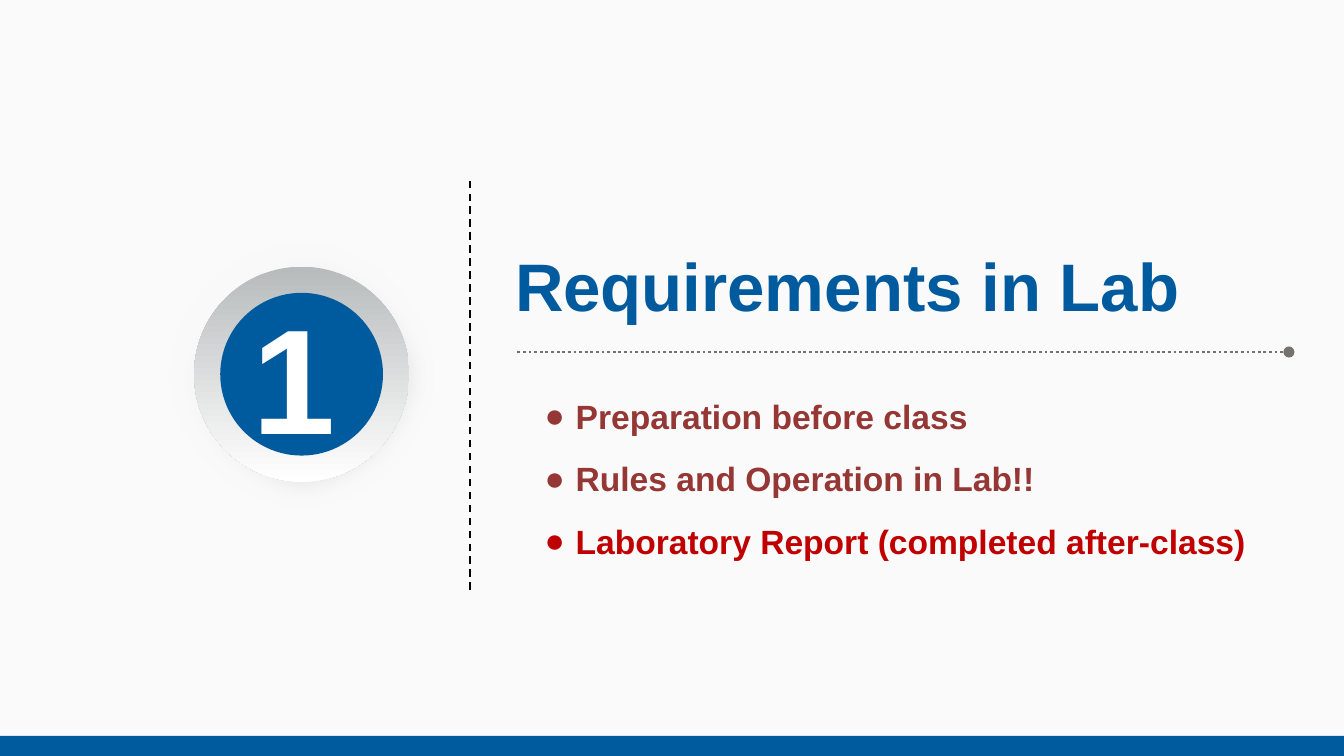
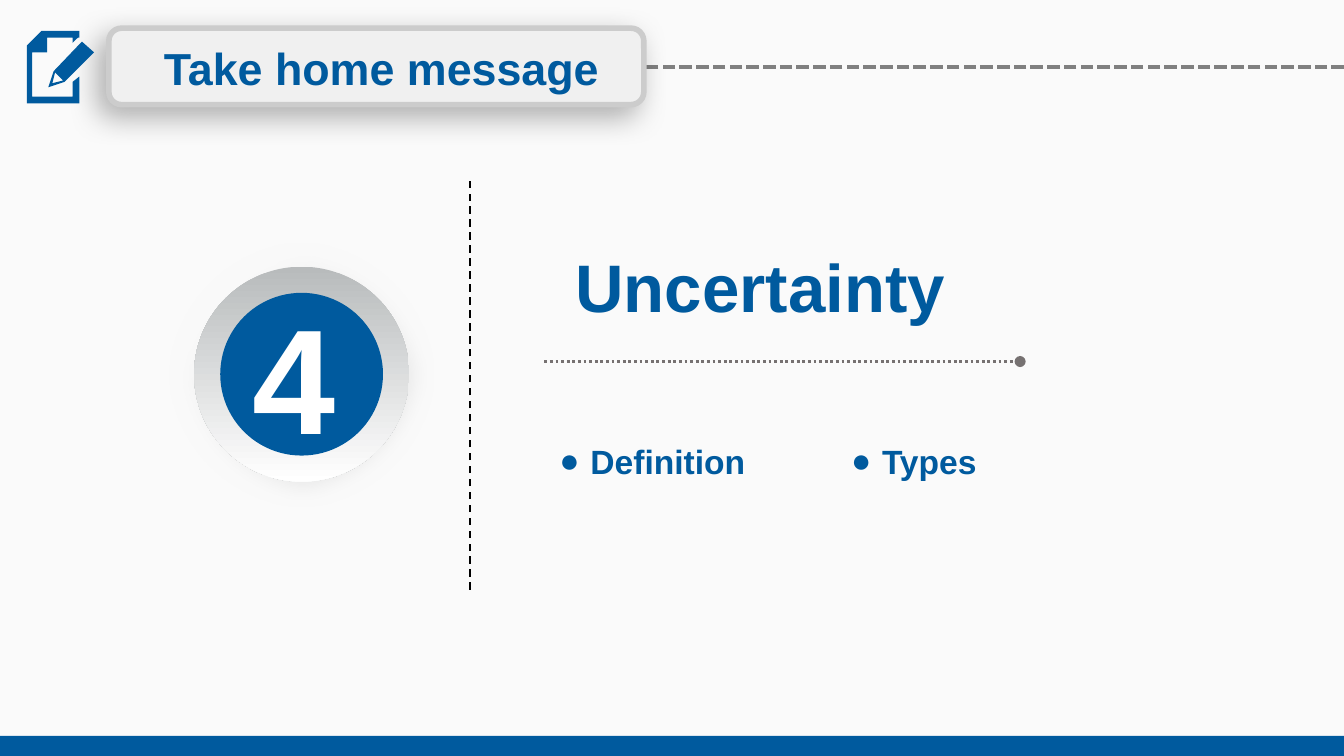
from lxml.etree import SubElement
from pptx import Presentation
from pptx.dml.color import RGBColor
from pptx.enum.dml import MSO_LINE
from pptx.enum.shapes import MSO_CONNECTOR, MSO_SHAPE
from pptx.enum.text import MSO_ANCHOR, MSO_AUTO_SIZE, PP_ALIGN
from pptx.oxml.ns import qn
from pptx.util import Pt

BLUE = RGBColor(0x00, 0x5A, 0x9E)
WHITE = RGBColor(0xFF, 0xFF, 0xFF)
BLACK = RGBColor(0x00, 0x00, 0x00)
BROWN = RGBColor(0x95, 0x37, 0x35)
RED = RGBColor(0xC0, 0x00, 0x00)
RULE_GREY = RGBColor(0x76, 0x71, 0x71)
DASH_GREY = RGBColor(0x80, 0x80, 0x80)
BORDER_GREY = RGBColor(0xCC, 0xCC, 0xCC)
PAPER_TOP = RGBColor(0xFA, 0xFA, 0xFA)
PAPER_BOTTOM = RGBColor(0xFC, 0xFC, 0xFC)
HALO_GREY = RGBColor(0xD9, 0xD9, 0xD9)
RING_GREY = RGBColor(0xB8, 0xBB, 0xBC)
BANNER_START = RGBColor(0xF0, 0xF0, 0xF0)
BANNER_END = RGBColor(0xF1, 0xF1, 0xF1)

FONT = "Arial"
SLIDE_WIDTH, SLIDE_HEIGHT = 720, 405
BAND_HEIGHT = 10.7
BADGE_X, BADGE_Y = 161.6, 200.5
BULLET_INDENT = 16.6
TIGHT = (5.2, 2.7)
WIDE = (7.2, 3.6)

# Outlines of the note icon, in hundredths of an inch
ICON_UNIT = Pt(0.72)
SHEET = [(54, 72), (24, 72), (24, 39), (35, 39), (35, 28), (54, 28), (54, 32),
         (58, 28), (59, 28), (59, 23), (31, 23), (20, 34), (20, 77), (59, 77),
         (59, 57), (54, 61)]
PENCIL = [(40, 53), (36, 65), (48, 61), (70, 39), (61, 31)]
PENCIL_TIP = [(47, 60), (39, 62), (41, 54)]


def set_gradient(fill, start, end, angle=270):
    """Blend two colours; the angle runs counter-clockwise."""
    fill.gradient()
    fill.gradient_angle = angle
    for stop, color in zip(fill.gradient_stops, (start, end)):
        stop.color.rgb = color


def add_effect(shape, tag, **attributes):
    effects = shape.element.spPr.find(qn("a:effectLst"))
    return SubElement(effects, qn(tag), {k: str(v) for k, v in attributes.items()})


def add_plain_shape(slide, kind, left, top, width, height, color=None):
    shape = slide.shapes.add_shape(kind, Pt(left), Pt(top), Pt(width), Pt(height))
    shape.shadow.inherit = False
    shape.line.fill.background()
    if color is not None:
        shape.fill.solid()
        shape.fill.fore_color.rgb = color
    return shape


def add_rule(slide, start, end, color, width, dash, dot_end=False):
    rule = slide.shapes.add_connector(
        MSO_CONNECTOR.STRAIGHT, Pt(start[0]), Pt(start[1]), Pt(end[0]), Pt(end[1]))
    rule.line.color.rgb = color
    rule.line.width = Pt(width)
    rule.line.dash_style = dash
    if dot_end:
        SubElement(rule.line._get_or_add_ln(), qn("a:tailEnd"), type="oval")
    SubElement(rule.element.spPr, qn("a:effectLst"))


def set_frame(shape, box, insets, wrap=False):
    shape.left, shape.top, shape.width, shape.height = (Pt(v) for v in box)
    frame = shape.text_frame
    frame.word_wrap = wrap
    frame.auto_size = MSO_AUTO_SIZE.NONE
    frame.vertical_anchor = MSO_ANCHOR.TOP
    frame.margin_left = frame.margin_right = Pt(insets[0])
    frame.margin_top = frame.margin_bottom = Pt(insets[1])
    return frame


def style_paragraph(paragraph, size, color):
    paragraph.alignment = PP_ALIGN.LEFT
    for run in paragraph.runs:
        run.font.name = FONT
        run.font.size = Pt(size)
        run.font.bold = True
        run.font.color.rgb = color


def set_heading(shape, text, box, size, color=BLUE, insets=TIGHT, wrap=False):
    frame = set_frame(shape, box, insets, wrap)
    frame.text = text
    style_paragraph(frame.paragraphs[0], size, color)


def add_label(slide):
    return slide.shapes.add_textbox(0, 0, 0, 0)


def set_bullets(placeholder, items, box, gap=0):
    """Fill a body placeholder with (text, colour) items."""
    frame = set_frame(placeholder, box, TIGHT)
    frame.text = "\n".join(text for text, _ in items)
    for index, (paragraph, (_, color)) in enumerate(zip(frame.paragraphs, items)):
        properties = paragraph._p.get_or_add_pPr()
        properties.set("marL", str(Pt(BULLET_INDENT)))
        properties.set("indent", str(-Pt(BULLET_INDENT)))
        SubElement(properties, qn("a:buChar"), char="●")
        paragraph.space_before = Pt(gap if index else 0)
        style_paragraph(paragraph, 18, color)


def add_disc(slide, radius, color=None):
    return add_plain_shape(slide, MSO_SHAPE.OVAL, BADGE_X - radius,
                           BADGE_Y - radius, 2 * radius, 2 * radius, color)


def add_number_badge(slide, number):
    halo = add_disc(slide, 72.4)
    set_gradient(halo.fill, HALO_GREY, WHITE)
    gradient = halo.element.spPr.find(qn("a:gradFill"))
    gradient.remove(gradient.find(qn("a:lin")))
    focus = SubElement(gradient, qn("a:path"), {"path": "circle"})
    SubElement(focus, qn("a:fillToRect"), l="100000", t="100000")
    add_effect(halo, "a:softEdge", rad=Pt(12.5))

    ring = add_disc(slide, 57.6)
    set_gradient(ring.fill, RING_GREY, WHITE)
    add_disc(slide, 43.6, BLUE)
    set_heading(add_label(slide), number, (128.2, 149, 50.4, 104.4), 80,
                WHITE, WIDE, wrap=True)


def add_section(slide, number, rule_start, rule_end):
    """Draw the parts that every section slide shares."""
    add_rule(slide, rule_start, rule_end, RULE_GREY, 1.5, MSO_LINE.ROUND_DOT, True)
    add_rule(slide, (252, 316), (252, 95), BLACK, 1, MSO_LINE.DASH)
    add_plain_shape(slide, MSO_SHAPE.RECTANGLE, 0, SLIDE_HEIGHT - BAND_HEIGHT,
                    SLIDE_WIDTH, BAND_HEIGHT, BLUE)
    add_number_badge(slide, number)


def add_banner(slide, text):
    add_rule(slide, (SLIDE_WIDTH, 36), (229.7, 36), DASH_GREY, 2.25,
             MSO_LINE.SQUARE_DOT)
    banner = add_plain_shape(slide, MSO_SHAPE.ROUNDED_RECTANGLE, 58.3, 15.1, 286.6, 41)
    set_gradient(banner.fill, BANNER_START, BANNER_END, 315)
    banner.line.color.rgb = BORDER_GREY
    banner.line.width = Pt(3)
    shadow = add_effect(banner, "a:outerShdw", blurRad=Pt(16), dist=Pt(7),
                        dir=135 * 60000, algn="tr", rotWithShape=0)
    black = SubElement(shadow, qn("a:srgbClr"), val=str(BLACK))
    SubElement(black, qn("a:alpha"), val="30000")

    title = slide.shapes.title
    set_heading(title, text, (80.6, 18, 252, 36), 24, insets=WIDE)
    title.element.getparent().append(title.element)  # bring above the banner


def add_outline(slide, *contours):
    first, *holes = contours
    builder = slide.shapes.build_freeform(*first[0], scale=ICON_UNIT)
    builder.add_line_segments(first[1:], close=True)
    for hole in holes:
        builder.move_to(*hole[0])
        builder.add_line_segments(hole[1:], close=True)
    outline = builder.convert_to_shape()
    outline.shadow.inherit = False
    outline.fill.solid()
    outline.fill.fore_color.rgb = BLUE
    outline.line.fill.background()


def build_requirements(slide):
    add_section(slide, "1", (277.2, 188.6), (690.5, 188.6))
    set_heading(slide.shapes.title, "Requirements in Lab", (270.7, 128.2, 370, 49), 36)
    set_bullets(slide.placeholders[1], [
        ("Preparation before class", BROWN),
        ("Rules and Operation in Lab!!", BROWN),
        ("Laboratory Report (completed after-class)", RED),
    ], (286.6, 209.5, 390, 92), gap=11.7)


def build_take_home(slide):
    add_section(slide, "4", (291.6, 193.7), (546.5, 193.7))
    set_heading(add_label(slide), "Uncertainty", (303.1, 128.9, 211, 49), 36)
    set_bullets(slide.placeholders[1], [("Definition", BLUE)], (294.5, 233.3, 111.6, 27.4))
    set_bullets(slide.placeholders[2], [("Types", BLUE)], (450.7, 233.3, 80.6, 27.4))
    add_banner(slide, "Take home message")
    add_outline(slide, SHEET)
    add_outline(slide, PENCIL, PENCIL_TIP)


def main():
    deck = Presentation()
    deck.slide_width, deck.slide_height = Pt(SLIDE_WIDTH), Pt(SLIDE_HEIGHT)
    set_gradient(deck.slide_master.background.fill, PAPER_TOP, PAPER_BOTTOM)
    list_layout, two_lists_layout = deck.slide_layouts[1], deck.slide_layouts[3]
    build_requirements(deck.slides.add_slide(list_layout))
    build_take_home(deck.slides.add_slide(two_lists_layout))
    deck.save("out.pptx")


if __name__ == "__main__":
    main()
